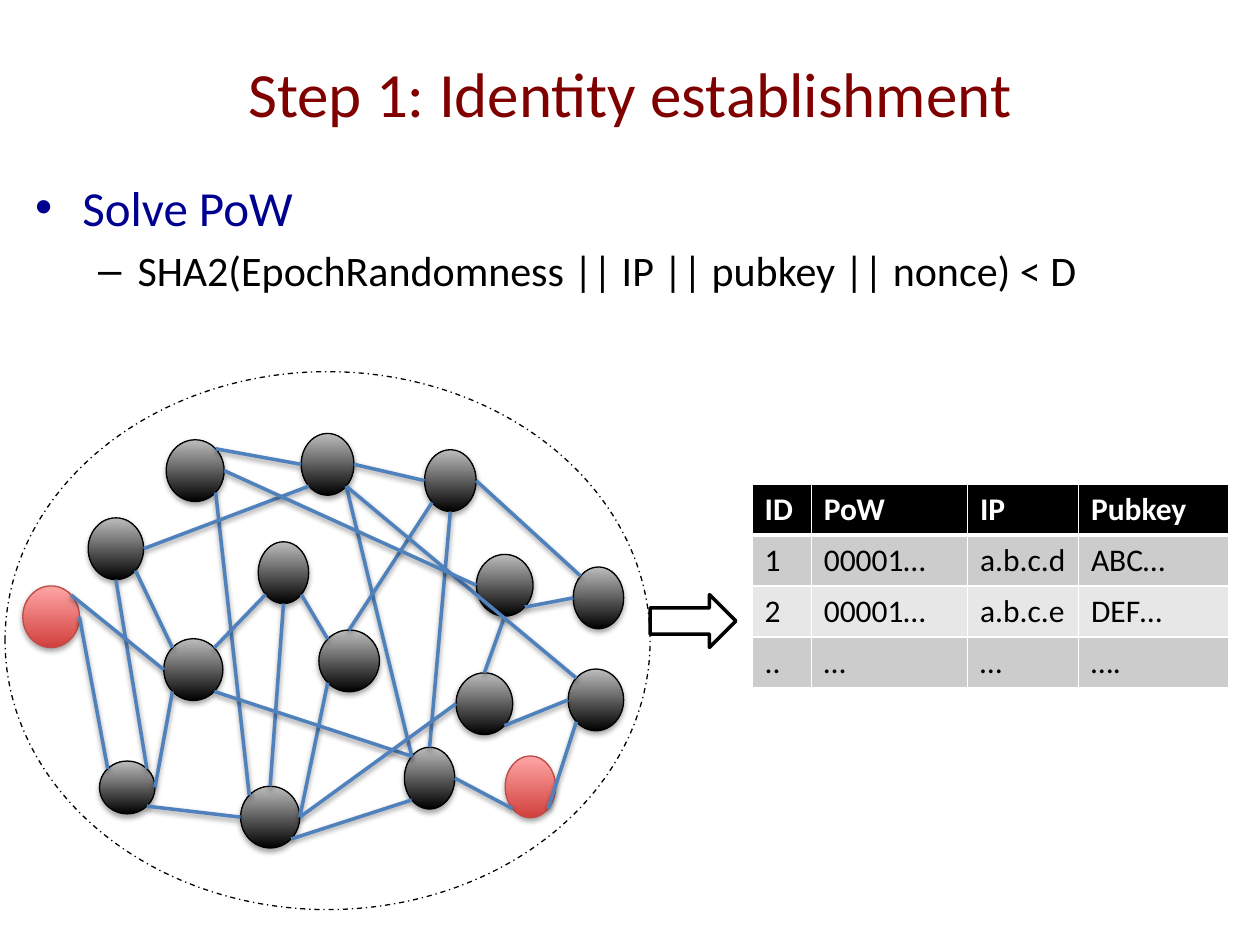
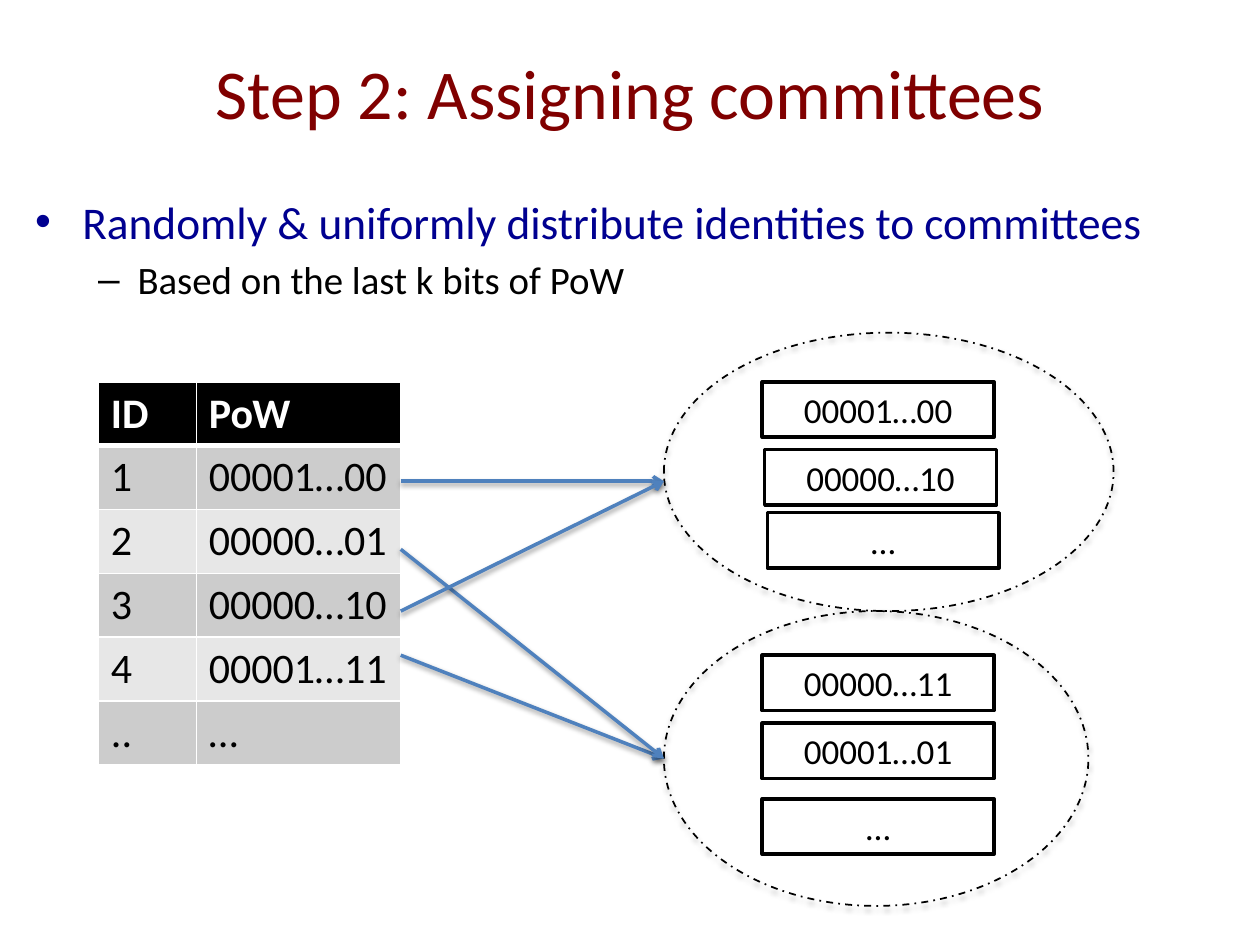
from math import sqrt

from lxml import etree
from pptx import Presentation
from pptx.dml.color import RGBColor
from pptx.enum import dml, shapes, text
from pptx.oxml.ns import qn
from pptx.util import Pt

FONT = "Calibri"
BLACK, WHITE, BLUE = "000000", "FFFFFF", "4F81BD"
TITLE_COLOR, POINT_COLOR = "800000", "000090"
BANDS = ("CCCCCC", "E7E7E7")
HONEST = (BLACK, "BDBDBD", BLACK)  # gradient bottom, gradient top, outline
MALICIOUS = ("D1403C", "FFA6A5", "BF4C48")

IDENTITY = dict(
    title="Step 1: Identity establishment", title_size=36,
    points=[("Solve PoW", 28),
            ("SHA2(EpochRandomness || IP || pubkey || nonce) < D", 24)],
    points_top=97.9,
    table=[("ID", "PoW", "IP", "Pubkey"),
           ("1", "00001…", "a.b.c.d", "ABC…"),
           ("2", "00001…", "a.b.c.e", "DEF…"),
           ("..", "…", "…", "….")],
    table_at=(429.8, 276.5), columns=(33.8, 89.3, 63.4, 85.7),
    row_height=29.16, table_size=18,
)
COMMITTEES = dict(
    title="Step 2: Assigning committees", title_size=40,
    points=[("Randomly & uniformly distribute identities to committees", 25.9),
            ("Based on the last k bits of PoW", 22.2)],
    points_top=107.3,
    table=[("ID", "PoW"), ("1", "00001…00"), ("2", "00000…01"),
           ("3", "00000…10"), ("4", "00001…11"), ("..", "…")],
    table_at=(56.2, 218.2), columns=(56, 117),
    row_height=36.5, table_size=24,
)

# Network nodes: left, top, width, height
NODES = {
    "A": (13, 334.8, 32.4, 35.3), "B": (95, 251.3, 33.1, 35.3),
    "C": (182.2, 360, 34.6, 35.3), "D": (272.2, 316.8, 32.4, 35.3),
    "E": (260.6, 384.5, 32.4, 35.3), "F": (56.9, 434.9, 31.7, 30.2),
    "G": (137.5, 449.3, 33.8, 35.3), "H": (231.1, 427, 28.8, 35.3),
    "I": (324.7, 382.3, 31.7, 35.3), "J": (50.4, 295.9, 31.7, 35.3),
    "K": (147.6, 309.6, 28.8, 35.3), "L": (242.6, 257, 29.5, 35.3),
    "M": (93.6, 365, 33.8, 35.3), "N": (172.1, 247.7, 30.2, 35.3),
    "O": (288.7, 432, 28.8, 35.3), "P": (327.6, 324, 28.8, 35.3),
}
MALICIOUS_NODES = "AO"
# Each end is a node and the compass point where the link touches it
LINKS = """J.se-M.nw A.e-F.nw B.se-G.nw J.s-F.ne F.e-M.sw C.sw-G.e K.se-C.nw
H.sw-G.se F.se-G.w M.w-A.ne N.se-H.nw E.n-D.s N.e-L.w O.sw-H.e E.se-I.w
O.se-I.sw P.w-D.se L.sw-C.n K.s-G.n L.s-H.n N.w-B.ne M.ne-K.sw P.nw-L.e
I.nw-N.se M.se-H.nw E.w-G.e J.e-N.sw B.e-D.w""".split()
NETWORK = (2.9, 212.4, 368.6, 307.4)
RESULT_ARROW = (371.5, 339.8, 49, 30.2)

# Committee members: text, left, top
MEMBERS = [("00001…00", 435.6, 218.2), ("00000…10", 437, 257),
           ("…", 438.5, 293), ("00000…11", 435.6, 374.4),
           ("00001…01", 435.6, 413.3), ("…", 435.6, 456.5)]
MEMBER_SIZE = (132.5, 31.7)
COMMITTEE_RINGS = [(379.4, 349.2, 242.6, 168.5), (379.4, 190.1, 257, 159.1)]
TABLE_EDGE, RING_EDGE = 229, 379.4
ASSIGNMENTS = [(275, 275), (374.4, 433.4), (313.9, 433.4), (349.2, 275)]


def rgb(color):
    return RGBColor.from_string(color)


def add_xml(parent, tag, **attrs):
    return etree.SubElement(parent, qn(tag), attrs)


def set_shadow(sp, alpha=0, dist=0):
    """Give a shape or connector a soft drop shadow, or none if alpha is 0."""
    effects = add_xml(sp._element.spPr, "a:effectLst")
    if alpha:
        shadow = add_xml(effects, "a:outerShdw", blurRad=str(Pt(3.1)),
                         dist=str(Pt(dist)), dir="5400000", rotWithShape="0")
        add_xml(add_xml(shadow, "a:srgbClr", val=BLACK), "a:alpha",
                val=str(alpha * 1000))


def add_run(p, words, size, color, bold=False):
    r = p.add_run()
    r.text = words
    f = r.font
    f.name, f.size, f.bold = FONT, Pt(size), bold
    f.color.rgb = rgb(color)


def add_outline(s, kind, box, width, fill=None, color=BLACK):
    sp = s.shapes.add_shape(kind, *map(Pt, box))
    if fill:
        sp.fill.solid()
        sp.fill.fore_color.rgb = rgb(fill)
    else:
        sp.fill.background()
    sp.line.color.rgb = rgb(color)
    sp.line.width = Pt(width)
    return sp


def add_ring(s, box, width, shadow=0):
    sp = add_outline(s, shapes.MSO_SHAPE.OVAL, box, width)
    sp.line.dash_style = dml.MSO_LINE.DASH_DOT
    set_shadow(sp, shadow, 1.8)


def add_line(s, start, end, arrow=False):
    line = s.shapes.add_connector(shapes.MSO_CONNECTOR.STRAIGHT,
                                  *map(Pt, (*start, *end)))
    line.line.color.rgb = rgb(BLUE)
    line.line.width = Pt(2)
    if arrow:
        add_xml(line.line._get_or_add_ln(), "a:tailEnd", type="arrow")
    set_shadow(line, 38, 1.6)


def add_points(s, points, top):
    box = s.shapes.add_textbox(Pt(13), Pt(top), Pt(693.4), Pt(86))
    tf = box.text_frame
    tf.word_wrap = True
    styles = [("•", 27, -27, POINT_COLOR), ("–", 58.5, -22.5, BLACK)]
    for i, ((words, size), style) in enumerate(zip(points, styles)):
        bullet, margin, indent, color = style
        p = tf.add_paragraph() if i else tf.paragraphs[0]
        p.space_before = Pt(size * 0.2)
        ppr = p._p.get_or_add_pPr()
        ppr.set("marL", str(Pt(margin)))
        ppr.set("indent", str(Pt(indent)))
        add_xml(ppr, "a:buFont", typeface="Arial")
        add_xml(ppr, "a:buChar", char=bullet)
        add_run(p, words, size, color)


def add_borders(cell, row):
    widths = {"L": 1, "R": 1, "T": 3 if row == 1 else 1,
              "B": 3 if row == 0 else 1}
    for side, width in widths.items():
        ln = add_xml(cell._tc.get_or_add_tcPr(), "a:ln" + side, w=str(Pt(width)))
        add_xml(add_xml(ln, "a:solidFill"), "a:srgbClr", val=WHITE)


def add_banded_table(s, rows, at, columns, row_height, size):
    frame = s.shapes.add_table(len(rows), len(columns), *map(Pt, at),
                               Pt(sum(columns)), Pt(row_height * len(rows)))
    table = frame.table
    for column, width in zip(table.columns, columns):
        column.width = Pt(width)
    for i, row in enumerate(rows):
        table.rows[i].height = Pt(row_height)
        head = i == 0
        for j, words in enumerate(row):
            cell = table.cell(i, j)
            cell.margin_right = Pt(4)
            add_borders(cell, i)
            cell.fill.solid()
            cell.fill.fore_color.rgb = rgb(BLACK if head else BANDS[(i - 1) % 2])
            add_run(cell.text_frame.paragraphs[0], words, size,
                    WHITE if head else BLACK, head)


def add_step(prs, step):
    """Add a slide with the title, bullet points and table of one step."""
    s = prs.slides.add_slide(prs.slide_layouts[5])
    title = s.shapes.title
    title.left, title.top, title.width, title.height = map(Pt, (36, 21.6, 648, 61.9))
    tf = title.text_frame
    tf.vertical_anchor = text.MSO_ANCHOR.MIDDLE
    p = tf.paragraphs[0]
    p.alignment = text.PP_ALIGN.CENTER
    add_run(p, step["title"], step["title_size"], TITLE_COLOR)
    add_points(s, step["points"], step["points_top"])
    add_banded_table(s, step["table"], step["table_at"], step["columns"],
                     step["row_height"], step["table_size"])
    return s


def add_node(s, name):
    bottom, top, outline = MALICIOUS if name in MALICIOUS_NODES else HONEST
    sp = add_outline(s, shapes.MSO_SHAPE.OVAL, NODES[name], 0.75, color=outline)
    sp.fill.gradient()
    sp.fill.gradient_angle = 90
    for stop, color in zip(sp.fill.gradient_stops, (bottom, top)):
        stop.color.rgb = rgb(color)
    set_shadow(sp, 35, 1.8)


def rim_point(end):
    """Turn an end such as "J.se" into the point on that node's rim."""
    name, side = end.split(".")
    left, top, width, height = NODES[name]
    dx = ("e" in side) - ("w" in side)
    dy = ("s" in side) - ("n" in side)
    reach = 1 / sqrt(dx * dx + dy * dy)
    return (left + width / 2 * (1 + dx * reach),
            top + height / 2 * (1 + dy * reach))


def draw_network(s):
    for name in NODES:
        add_node(s, name)
    for link in LINKS:
        add_line(s, *map(rim_point, link.split("-")))
    add_ring(s, NETWORK, 0.75)
    set_shadow(add_outline(s, shapes.MSO_SHAPE.RIGHT_ARROW, RESULT_ARROW, 2, WHITE))


def draw_committees(s):
    for words, left, top in MEMBERS:
        sp = add_outline(s, shapes.MSO_SHAPE.RECTANGLE,
                         (left, top, *MEMBER_SIZE), 2, WHITE)
        set_shadow(sp)
        p = sp.text_frame.paragraphs[0]
        p.alignment = text.PP_ALIGN.CENTER
        add_run(p, words, 20, BLACK)
    for ring in COMMITTEE_RINGS:
        add_ring(s, ring, 1, shadow=35)
    for row_y, ring_y in ASSIGNMENTS:
        add_line(s, (TABLE_EDGE, row_y), (RING_EDGE, ring_y), arrow=True)


def main():
    prs = Presentation()
    prs.slide_width, prs.slide_height = Pt(720), Pt(540)
    draw_network(add_step(prs, IDENTITY))
    draw_committees(add_step(prs, COMMITTEES))
    prs.save("out.pptx")


if __name__ == "__main__":
    main()
